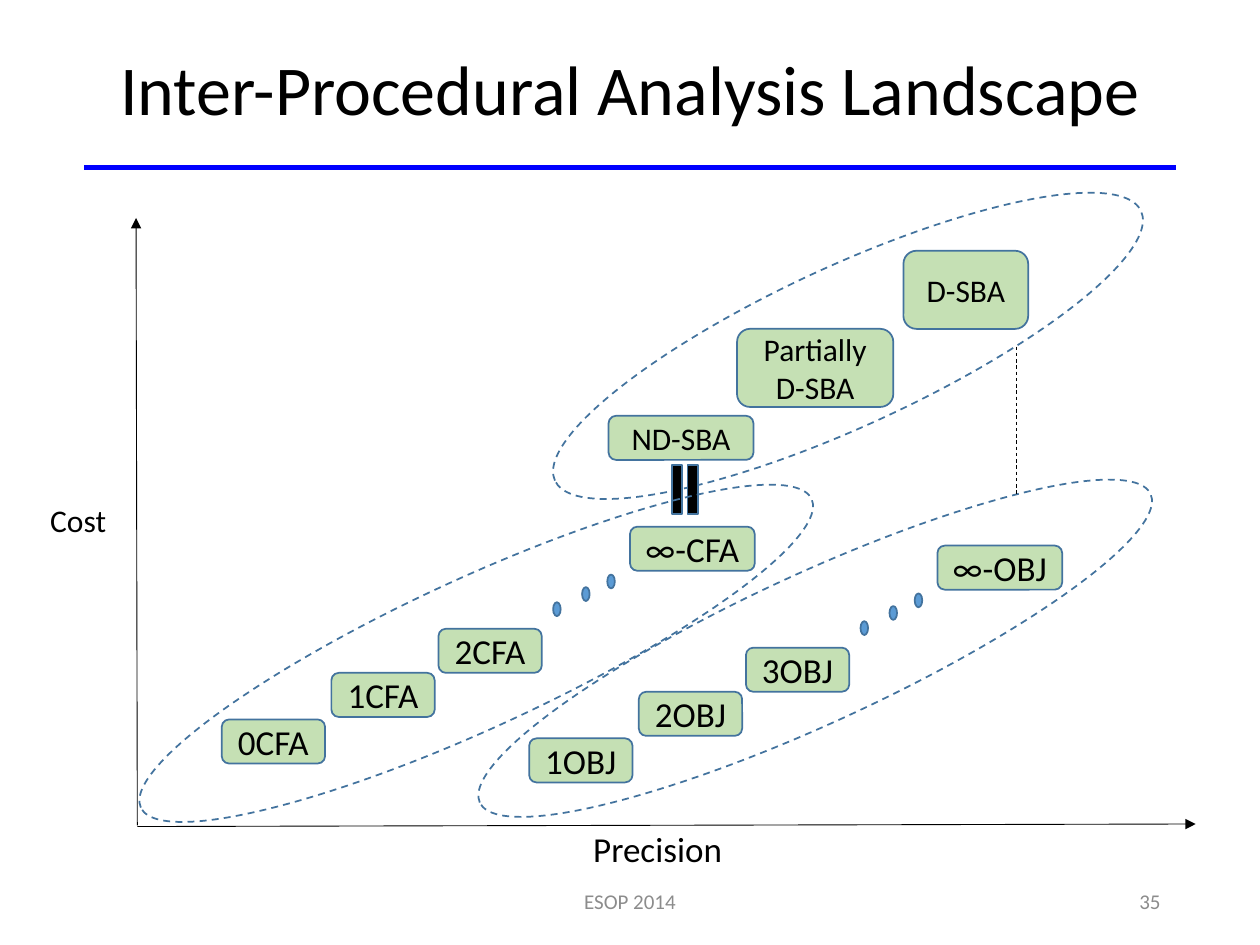
from pptx import Presentation
from pptx.dml.color import RGBColor
from pptx.enum.dml import MSO_LINE_DASH_STYLE as Dash
from pptx.enum.shapes import MSO_CONNECTOR as Connector, MSO_SHAPE as Shape
from pptx.enum.text import MSO_ANCHOR as Anchor, MSO_AUTO_SIZE as AutoSize, PP_ALIGN as Align
from pptx.oxml.ns import qn
from pptx.util import Inches, Pt
from lxml.etree import SubElement

BLACK = RGBColor(0, 0, 0)
GRAY = RGBColor(0x8C, 0x8C, 0x8C)
RULE_BLUE = RGBColor(0, 0, 0xFF)
OUTLINE = RGBColor(0x43, 0x73, 0x9E)
GREEN = RGBColor(0xC5, 0xE0, 0xB4)
DOT_BLUE = RGBColor(0x5B, 0x9B, 0xD5)

COLUMNS, ROWS = 100, 75
TILT = 335.3
FAMILY_SHIFT = (24.4, 1.5)
STEPS = [(17.6, 57.1), (26.3, 53.4), (34.8, 49.9)]
DOTS = [(43.9, 47.8), (46.2, 46.6), (48.2, 45.6)]


class LandscapeSlide:
    font_name = "Calibri"

    def __init__(self, deck):
        self.column = deck.slide_width / COLUMNS
        self.row = deck.slide_height / ROWS
        self.page = deck.slides.add_slide(deck.slide_layouts[5])

    def place(self, left, top, width, height):
        return (round(left * self.column), round(top * self.row),
                round(width * self.column), round(height * self.row))

    def add_text(self, shape, text, size, color=BLACK, align=Align.CENTER, anchor=Anchor.MIDDLE):
        frame = shape.text_frame
        frame.word_wrap = True
        frame.auto_size = AutoSize.NONE
        frame.vertical_anchor = anchor
        para = frame.paragraphs[0]
        para.alignment = align
        span = para.add_run()
        span.text = text
        span.font.name = self.font_name
        span.font.size = Pt(size)
        span.font.color.rgb = color
        return para

    def title(self, text, *area):
        holder = self.page.shapes.title
        holder.left, holder.top, holder.width, holder.height = self.place(*area)
        self.add_text(holder, text, 40).line_spacing = 0.9

    def label(self, text, area, size, **style):
        box = self.page.shapes.add_textbox(*self.place(*area))
        self.add_text(box, text, size, **style)

    def line(self, start, end, color=BLACK, width=0.5, arrow=False, dashed=False):
        link = self.page.shapes.add_connector(
            Connector.STRAIGHT, *self.place(*start, *end))
        link.line.color.rgb = color
        link.line.width = Pt(width)
        if dashed:
            link.line.dash_style = Dash.DASH
        if arrow:
            SubElement(link._element.spPr.find(qn("a:ln")), qn("a:tailEnd"), type="triangle")
        SubElement(link._element.spPr, qn("a:effectLst"))

    def shape(self, kind, area, fill=None, rotation=0):
        item = self.page.shapes.add_shape(kind, *self.place(*area))
        item.shadow.inherit = False
        item.rotation = rotation
        item.line.color.rgb = OUTLINE
        item.line.width = Pt(1)
        if fill is None:
            item.fill.background()
        else:
            item.fill.solid()
            item.fill.fore_color.rgb = fill
        return item

    def analysis(self, text, area, size=20):
        self.add_text(self.shape(Shape.ROUNDED_RECTANGLE, area, GREEN), text, size)

    def group_outline(self, *area):
        outline = self.shape(Shape.OVAL, area, rotation=TILT)
        outline.line.dash_style = Dash.DASH

    def family(self, names, limit, shift=(0, 0)):
        across, down = shift
        for name, (left, top) in zip(names, STEPS):
            self.analysis(name, (left + across, top + down, 8.2, 3.5))
        self.analysis(limit, (50 + across, 41.8 + down, 9.9, 3.5))
        for left, top in DOTS:
            self.shape(Shape.OVAL, (left + across, top + down, 0.6, 1.1), DOT_BLUE)


def main():
    deck = Presentation()
    deck.slide_width, deck.slide_height = Inches(10), Inches(7.5)
    slide = LandscapeSlide(deck)

    slide.line((6.7, 13.3), (93.3, 13.3), RULE_BLUE, 3)
    slide.title("Inter-Procedural Analysis Landscape", 6.9, 1.6, 86.2, 11.5)
    slide.label("ESOP 2014", (33.1, 69.5, 33.8, 4), 12, color=GRAY)
    slide.label("35", (70.6, 69.5, 22.5, 4), 12, color=GRAY, align=Align.RIGHT)

    slide.line((10.9, 65.6), (94.9, 65.4), arrow=True)
    slide.line((10.9, 65.5), (10.8, 17.3), arrow=True)
    slide.label("Cost", (3, 39.3, 7.8, 4), 18, align=Align.LEFT, anchor=Anchor.TOP)
    slide.label("Precision", (46.1, 65.2, 12.7, 4.4), 20, align=Align.LEFT, anchor=Anchor.TOP)

    slide.analysis("ND-SBA", (48.3, 33, 11.5, 3.5), 18)
    slide.analysis("D-SBA", (71.7, 19.9, 9.9, 6.2), 18)
    slide.analysis("Partially D-SBA", (58.5, 26.1, 12.4, 6.2), 18)
    slide.group_outline(41.7, 21.1, 51.2, 12.7)
    slide.shape(Shape.MATH_EQUAL, (51.7, 37.1, 5.3, 3.5), BLACK, 90)

    slide.family(["0CFA", "1CFA", "2CFA"], "∞-CFA")
    slide.group_outline(8.5, 45.9, 58.6, 11.9)
    slide.family(["1OBJ", "2OBJ", "3OBJ"], "∞-OBJ", FAMILY_SHIFT)
    slide.group_outline(35.4, 45.5, 58.6, 11.9)
    slide.line((80.7, 27.5), (80.7, 39.3), dashed=True)

    deck.save("out.pptx")


if __name__ == "__main__":
    main()
